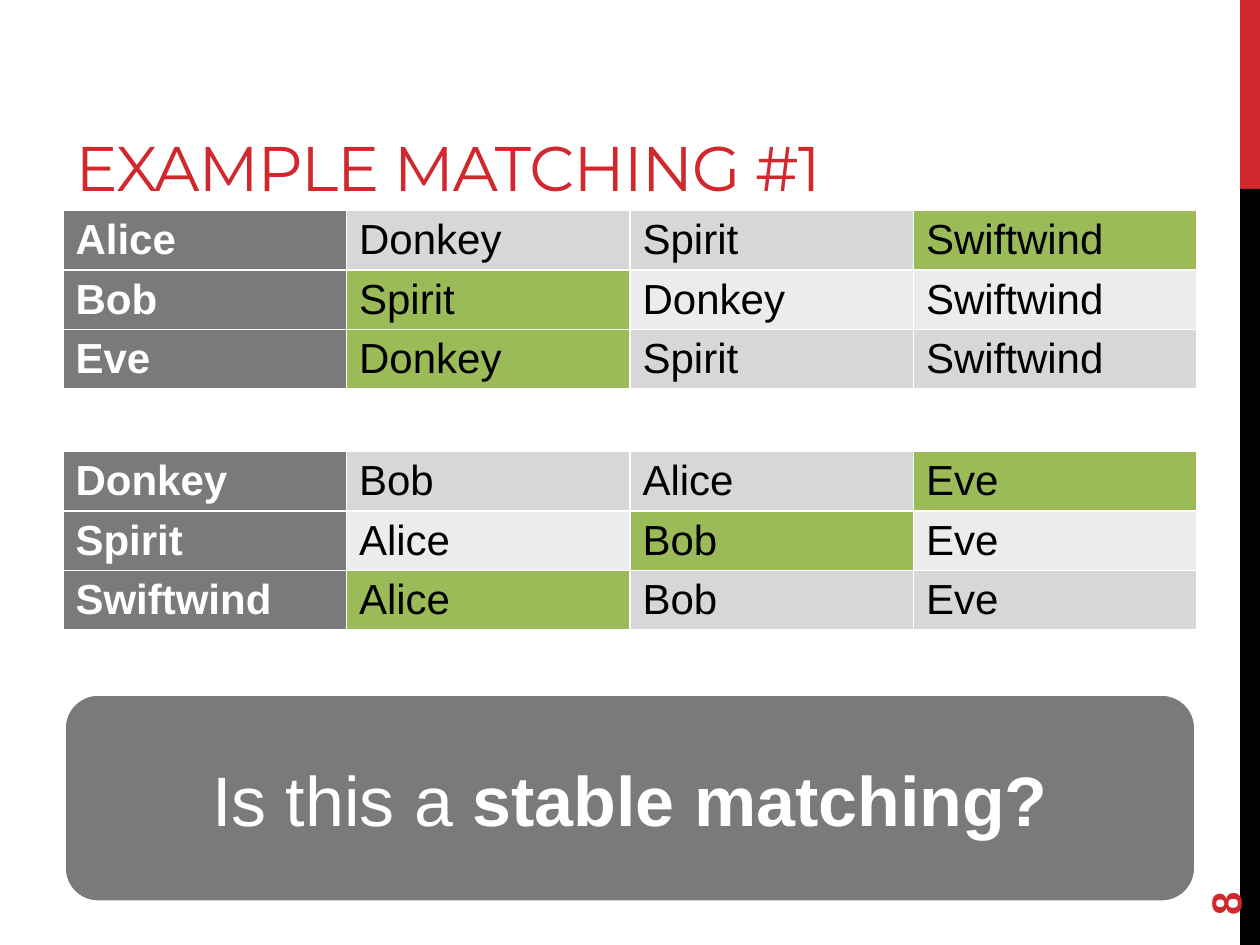
"""Build the slide that shows the first example matching."""
from lxml.etree import SubElement as Sub
from pptx import Presentation
from pptx.dml.color import RGBColor as RGB
from pptx.enum.shapes import MSO_SHAPE as Shape
from pptx.enum.text import MSO_ANCHOR as Anchor, PP_ALIGN as Align
from pptx.oxml.ns import qn
from pptx.util import Cm, Pt

HUES = {"red": "D1282E", "black": "000000", "white": "FFFFFF", "head": "7A7A7A",
        "odd": "D7D7D7", "even": "ECECEC", "match": "9BBB59"}


def style(run, size, hue, bold=False, face="Arial"):
    font = run.font
    font.name, font.size, font.bold = face, Pt(size), bold
    font.color.rgb = RGB.from_string(HUES[hue])


def paint(fill, hue):
    fill.solid()
    fill.fore_color.rgb = RGB.from_string(HUES[hue])


deck = Presentation()
deck.slide_width, deck.slide_height = Cm(25.4), Cm(19.05)
slide = deck.slides.add_slide(deck.slide_layouts[5])
shapes = slide.shapes

for top, high, hue in [(0, 3.81, "red"), (3.81, 15.24, "black")]:
    bar = shapes.add_shape(Shape.RECTANGLE, Cm(25), Cm(top), Cm(0.4), Cm(high))
    bar.shadow.inherit = False
    paint(bar.fill, hue)
    bar.line.fill.background()

title = shapes.title
title.left, title.top, title.width, title.height = Cm(1.27), Cm(0.43), Cm(20.07), Cm(3.81)
frame = title.text_frame
frame.text = "EXAMPLE MATCHING #1"
frame.vertical_anchor = Anchor.BOTTOM
line = frame.paragraphs[0]
line.alignment = Align.LEFT
style(line.runs[0], 36, "red", face="Montserrat")
line.runs[0].font._element.set("spc", "-60")

people = [["Alice", "Donkey", "Spirit", "Swiftwind"],
          ["Bob", "Spirit", "Donkey", "Swiftwind"],
          ["Eve", "Donkey", "Spirit", "Swiftwind"]]
horses = [["Donkey", "Bob", "Alice", "Eve"],
          ["Spirit", "Alice", "Bob", "Eve"],
          ["Swiftwind", "Alice", "Bob", "Eve"]]
pairs = {("Alice", "Swiftwind"), ("Bob", "Spirit"), ("Eve", "Donkey")}

for top, ranks in [(4.24, people), (9.1, horses)]:
    table = shapes.add_table(3, 4, Cm(1.27), Cm(top), Cm(22.86), Cm(3.12)).table
    for r, names in enumerate(ranks):
        for c, name in enumerate(names):
            cell = table.cell(r, c)
            cell.text = name
            style(cell.text_frame.paragraphs[0].runs[0], 24,
                  "black" if c else "white", bold=c == 0)
            props = cell._tc.get_or_add_tcPr()
            for side in ("a:lnL", "a:lnR", "a:lnT", "a:lnB"):
                edge = Sub(props, qn(side), w=str(Pt(1)))
                Sub(Sub(edge, qn("a:solidFill")), qn("a:srgbClr"), val=HUES["white"])
            pair = (names[0], name)
            if c == 0:
                hue = "head"
            elif pair in pairs or pair[::-1] in pairs:
                hue = "match"
            else:
                hue = "even" if r % 2 else "odd"
            paint(cell.fill, hue)

box = shapes.add_shape(Shape.ROUNDED_RECTANGLE, Cm(1.27), Cm(13.97), Cm(22.86), Cm(4.24))
box.shadow.inherit = False
paint(box.fill, "head")
box.line.color.rgb = RGB.from_string(HUES["white"])
box.line.width = Pt(3.25)
box.text_frame.vertical_anchor = Anchor.MIDDLE
line = box.text_frame.paragraphs[0]
line.alignment = Align.CENTER
for text, bold in [("Is this a ", False), ("stable matching?", True)]:
    run = line.add_run()
    run.text = text
    style(run, 40, "white", bold)

page = shapes.add_textbox(Cm(22.86), Cm(16.36), Cm(3.66), Cm(1.02))
page.rotation = 270
frame = page.text_frame
frame.word_wrap = True
frame.vertical_anchor = Anchor.MIDDLE
frame.text = "8"
style(frame.paragraphs[0].runs[0], 24, "red", True)

deck.save("out.pptx")
